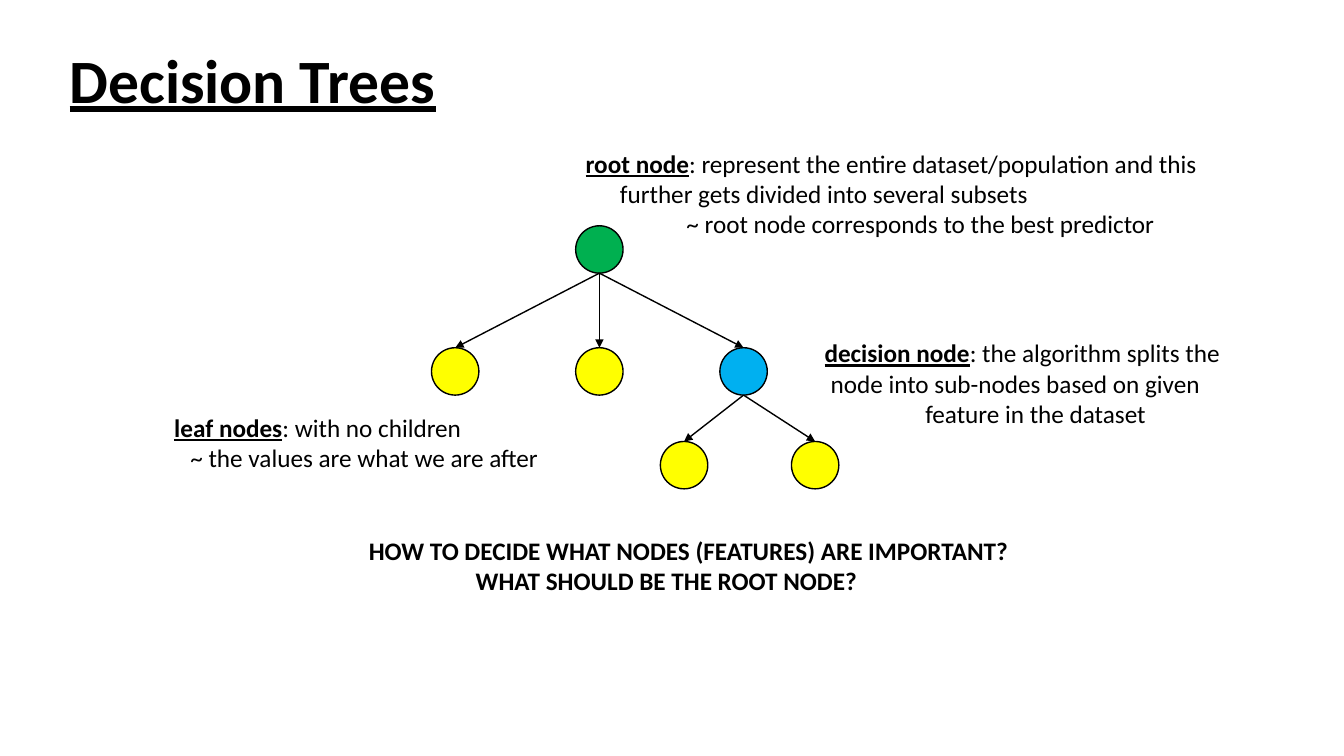
from dataclasses import dataclass

from lxml.etree import SubElement
from pptx import Presentation
from pptx.dml.color import RGBColor
from pptx.enum.shapes import MSO_CONNECTOR, MSO_SHAPE
from pptx.enum.text import MSO_ANCHOR, MSO_AUTO_SIZE, PP_ALIGN
from pptx.oxml.ns import qn
from pptx.shapes.autoshape import Shape
from pptx.slide import Slide
from pptx.text.text import Font
from pptx.util import Inches, Pt


@dataclass(frozen=True)
class Theme:
    font: str = "Calibri"
    ink: RGBColor = RGBColor(0x00, 0x00, 0x00)
    root: RGBColor = RGBColor(0x00, 0xB0, 0x50)
    decision: RGBColor = RGBColor(0x00, 0xB0, 0xF0)
    leaf: RGBColor = RGBColor(0xFF, 0xFF, 0x00)
    title_size: int = 44
    body_size: int = 18
    line_width: int = 1


@dataclass(frozen=True)
class Node:
    key: str
    left: float
    top: float
    fill: RGBColor
    parent: str = ""


@dataclass(frozen=True)
class Line:
    text: str
    indent: float = 0


@dataclass(frozen=True)
class Note:
    left: float
    top: float
    width: float
    height: float
    lines: tuple[Line, ...]
    term: str = ""
    bold: bool = False


THEME = Theme()
NODE_SIZE = 0.47
ROOT_TOP, MIDDLE_TOP, BOTTOM_TOP = 2.24, 3.45, 4.38

# Parents come before their children
NODES = (
    Node("root", 5.71, ROOT_TOP, THEME.root),
    Node("left leaf", 4.28, MIDDLE_TOP, THEME.leaf, "root"),
    Node("middle leaf", 5.71, MIDDLE_TOP, THEME.leaf, "root"),
    Node("decision", 7.14, MIDDLE_TOP, THEME.decision, "root"),
    Node("lower left leaf", 6.55, BOTTOM_TOP, THEME.leaf, "decision"),
    Node("lower right leaf", 7.85, BOTTOM_TOP, THEME.leaf, "decision"),
)

NOTES = (
    Note(5.71, 1.42, 6.39, 1.01, (
        Line(": represent the entire dataset/population and this"),
        Line("further gets divided into several subsets", 0.34),
        Line("~ root node corresponds to the best predictor", 1),
    ), term="root node"),
    Note(1.63, 4.04, 3.87, 0.71, (
        Line(": with no children"),
        Line("~ the values are what we are after", 0.16),
    ), term="leaf nodes"),
    Note(8.08, 3.3, 4.17, 1.01, (
        Line(": the algorithm splits the"),
        Line("node into sub-nodes based on given", 0.06),
        Line("feature in the dataset", 1),
    ), term="decision node"),
    Note(3.56, 5.26, 6.6, 0.71, (
        Line("HOW TO DECIDE WHAT NODES (FEATURES) ARE IMPORTANT?"),
        Line("WHAT SHOULD BE THE ROOT NODE?", 1.06),
    ), bold=True),
)


def style_font(font: Font, size: int, bold: bool) -> None:
    font.name = THEME.font
    font.size = Pt(size)
    font.bold = bold
    font.color.rgb = THEME.ink


def add_title(page: Slide, text: str) -> None:
    title = page.shapes.title
    title.left, title.top = Inches(0.59), Inches(0.1)
    title.width, title.height = Inches(11.5), Inches(1.45)
    title.text_frame.vertical_anchor = MSO_ANCHOR.MIDDLE
    para = title.text_frame.paragraphs[0]
    para.text = text
    para.alignment = PP_ALIGN.LEFT
    para.line_spacing = 0.9
    style_font(para.font, THEME.title_size, True)
    para.font.underline = True


def add_node(page: Slide, node: Node) -> Shape:
    circle = page.shapes.add_shape(
        MSO_SHAPE.OVAL, Inches(node.left), Inches(node.top),
        Inches(NODE_SIZE), Inches(NODE_SIZE))
    circle.shadow.inherit = False
    circle.fill.solid()
    circle.fill.fore_color.rgb = node.fill
    circle.line.color.rgb = THEME.ink
    circle.line.width = Pt(THEME.line_width)
    return circle


def add_branch(page: Slide, parent: Shape, child: Shape) -> None:
    arrow = page.shapes.add_connector(
        MSO_CONNECTOR.STRAIGHT,
        parent.left + parent.width // 2, parent.top + parent.height,
        child.left + child.width // 2, child.top)
    arrow.end_connect(child, 0)
    arrow.line.color.rgb = THEME.ink
    arrow.line.width = Pt(THEME.line_width)
    SubElement(arrow.line._get_or_add_ln(), qn("a:tailEnd"), type="triangle")
    SubElement(arrow._element.spPr, qn("a:effectLst"))


def add_note(page: Slide, note: Note) -> None:
    box = page.shapes.add_textbox(
        Inches(note.left), Inches(note.top),
        Inches(note.width), Inches(note.height))
    frame = box.text_frame
    frame.word_wrap = True
    frame.auto_size = MSO_AUTO_SIZE.SHAPE_TO_FIT_TEXT
    for index, line in enumerate(note.lines):
        para = frame.add_paragraph() if index else frame.paragraphs[0]
        style_font(para.font, THEME.body_size, note.bold)
        if line.indent:
            para._p.get_or_add_pPr().set("marL", str(Inches(line.indent)))
        if note.term and index == 0:
            span = para.add_run()
            span.text = note.term
            style_font(span.font, THEME.body_size, True)
            span.font.underline = True
        span = para.add_run()
        span.text = line.text
        style_font(span.font, THEME.body_size, note.bold)


def main() -> None:
    deck = Presentation()
    deck.slide_width, deck.slide_height = Inches(13.33), Inches(7.5)
    page = deck.slides.add_slide(deck.slide_layouts[5])
    add_title(page, "Decision Trees")

    # Tree
    circles = {node.key: add_node(page, node) for node in NODES}
    for node in NODES:
        if node.parent:
            add_branch(page, circles[node.parent], circles[node.key])

    # Explanations and closing question
    for note in NOTES:
        add_note(page, note)

    deck.save("out.pptx")


if __name__ == "__main__":
    main()
